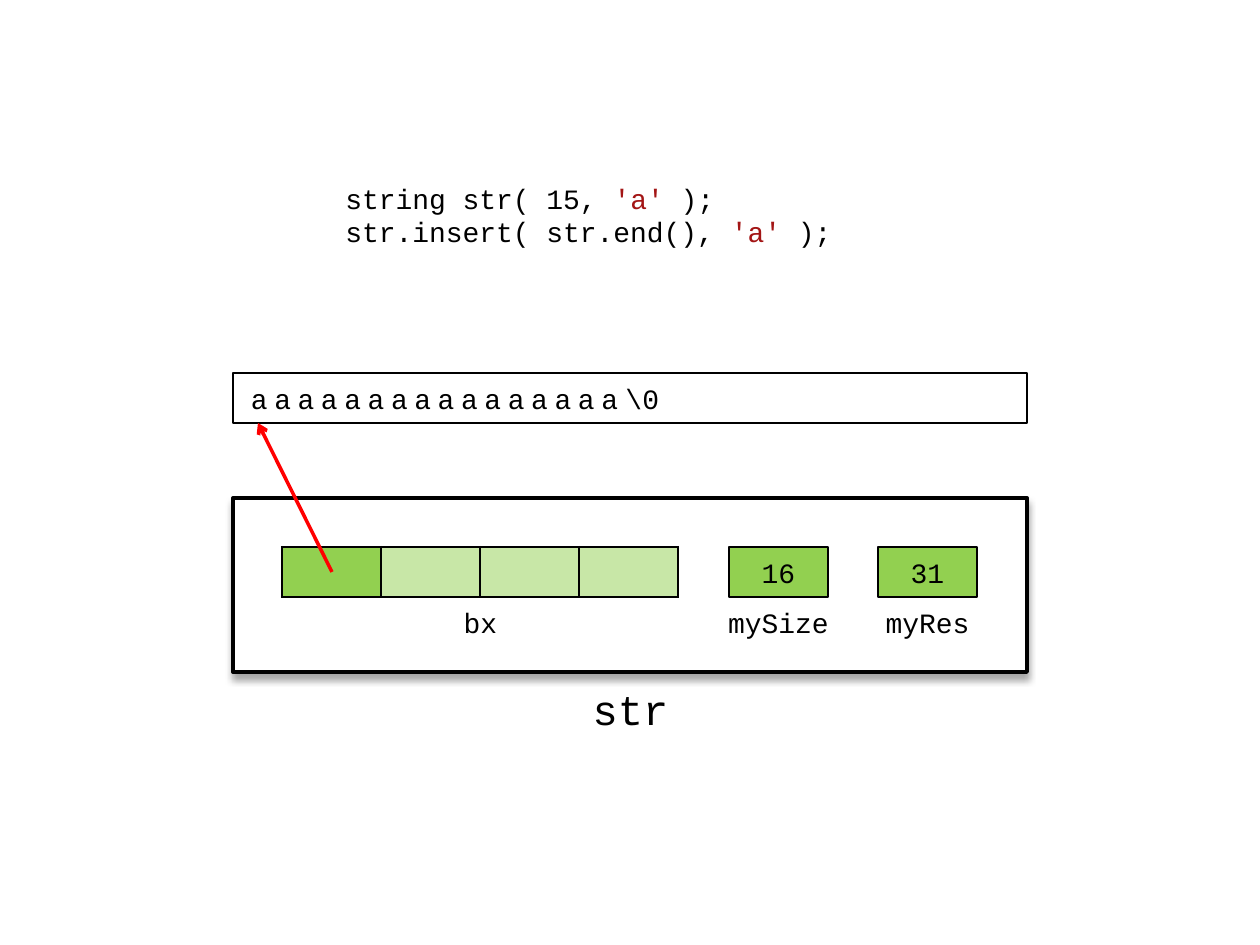
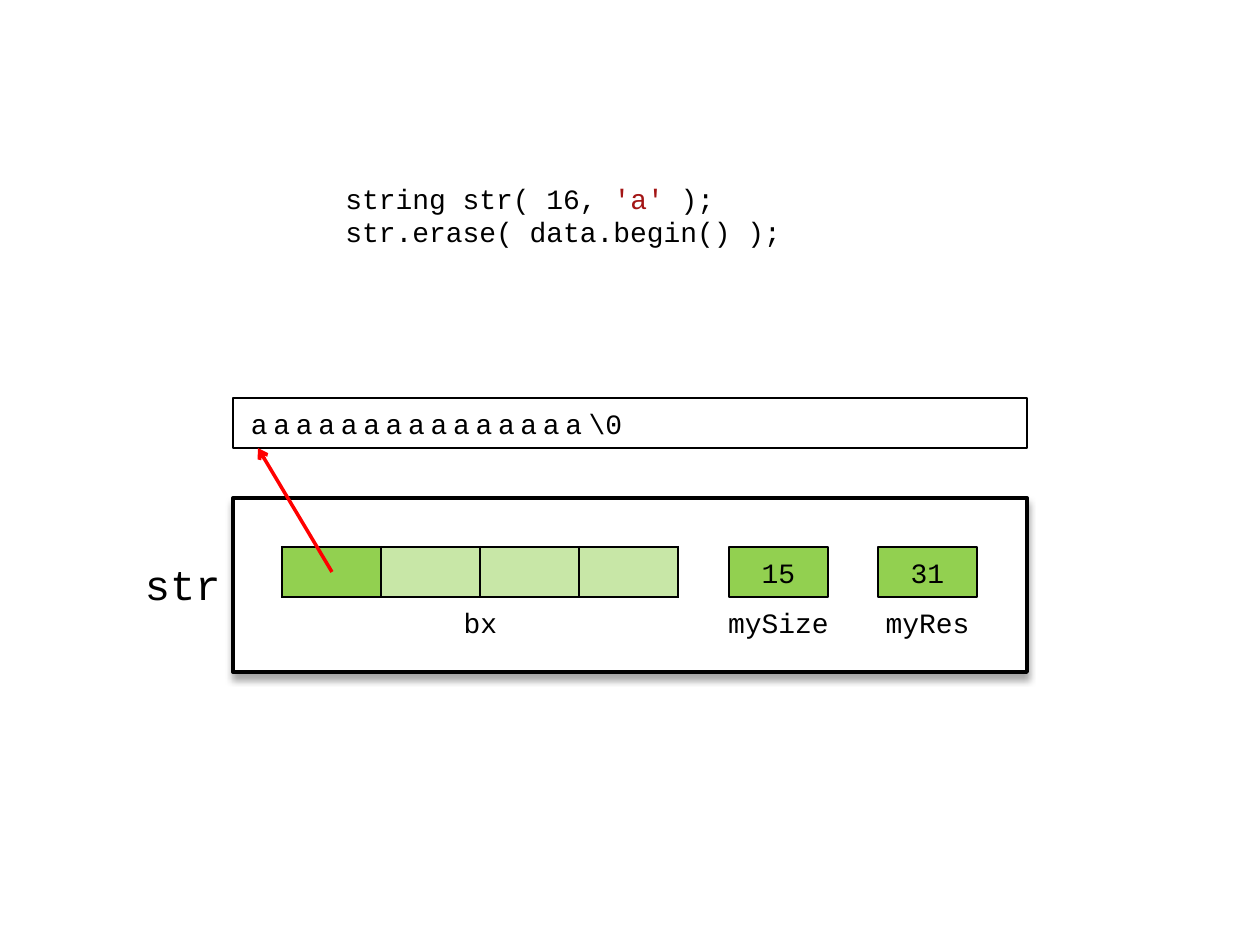
from lxml import etree
from pptx import Presentation
from pptx.dml.color import RGBColor
from pptx.enum.shapes import MSO_CONNECTOR, MSO_SHAPE
from pptx.enum.text import MSO_ANCHOR, PP_ALIGN
from pptx.oxml import parse_xml
from pptx.oxml.ns import nsdecls, qn
from pptx.util import Pt

PX = 914400 / 126
BLACK = RGBColor(0x00, 0x00, 0x00)
WHITE = RGBColor(0xFF, 0xFF, 0xFF)
GREEN = RGBColor(0x92, 0xD0, 0x50)
RED = RGBColor(0xFF, 0x00, 0x00)
LITERAL = RGBColor(0xA3, 0x15, 0x15)
FONT = "Courier New"
LEFT, CENTER, RIGHT = PP_ALIGN.LEFT, PP_ALIGN.CENTER, PP_ALIGN.RIGHT
TOP, MIDDLE = MSO_ANCHOR.TOP, MSO_ANCHOR.MIDDLE
RECTANGLE, PROCESS = MSO_SHAPE.RECTANGLE, MSO_SHAPE.FLOWCHART_PROCESS
STRAIGHT = MSO_CONNECTOR.STRAIGHT

# Shared grid of the memory diagram, in px
FRAME_LEFT, FRAME_TOP, FRAME_WIDTH, FRAME_HEIGHT = 233, 498, 794, 174
FIELD_TOP, CELL_WIDTH, CELL_HEIGHT = 547, 99, 50
TABLE_LEFT, CELL_COUNT = 282, 4
LABEL_TOP = FIELD_TOP + CELL_HEIGHT

# What differs between the slides
STATES = [
    {
        "code": [[("string str( 15, ", BLACK), ("'a' ", LITERAL), (");", BLACK)],
                 [("str.insert( str.end(), ", BLACK), ("'a' ", LITERAL), (");", BLACK)]],
        "length": 16, "letter_spacing": 380, "buffer_top": 373,
        "name_place": (556, 672, 149, 74), "name_align": CENTER,
    },
    {
        "code": [[("string str( 16, ", BLACK), ("'a' ", LITERAL), (");", BLACK)],
                 [("str.erase( data.begin() );", BLACK)]],
        "length": 15, "letter_spacing": 330, "buffer_top": 398,
        "name_place": (110, 547, 123, 74), "name_align": RIGHT,
    },
]


def add_box(page, kind, place, fill=None, line_width=None):
    """Add a shape, or a text box when kind is None, at a place in px."""
    lengths = [round(length * PX) for length in place]
    if kind is None:
        return page.shapes.add_textbox(*lengths)
    box = page.shapes.add_shape(kind, *lengths)
    box.shadow.inherit = False
    if fill is None:
        box.fill.background()
        box.line.fill.background()
    else:
        box.fill.solid()
        box.fill.fore_color.rgb = fill
        box.line.color.rgb = BLACK
        box.line.width = Pt(line_width)
    return box


def set_text(box, lines, size=16, align=CENTER, anchor=MIDDLE):
    """Write lines, each a list of (text, colour) spans."""
    frame = box.text_frame
    frame.word_wrap = True
    frame.vertical_anchor = anchor
    for number, spans in enumerate(lines):
        para = frame.add_paragraph() if number else frame.paragraphs[0]
        para.alignment = align
        para.font.name = FONT
        para.font.size = Pt(size)
        for text, color in spans:
            span = para.add_run()
            span.text = text
            span.font.color.rgb = color


deck = Presentation()
deck.slide_width, deck.slide_height = round(1260 * PX), round(945 * PX)

for state in STATES:
    page = deck.slides.add_slide(deck.slide_layouts[6])

    # Code and object name
    code = add_box(page, None, (333, 175, 596, 100))
    set_text(code, state["code"], align=LEFT, anchor=TOP)
    name = add_box(page, None, state["name_place"])
    set_text(name, [[("str", BLACK)]], 24, state["name_align"])

    # Object frame with its soft shadow
    frame = add_box(page, PROCESS, (FRAME_LEFT, FRAME_TOP, FRAME_WIDTH, FRAME_HEIGHT),
                    WHITE, 2.25)
    frame._element.spPr.find(qn("a:effectLst")).append(parse_xml(
        f'<a:outerShdw {nsdecls("a")} blurRad="50800" dist="38100" dir="5400000" '
        'rotWithShape="0"><a:srgbClr val="000000"><a:alpha val="35000"/></a:srgbClr>'
        '</a:outerShdw>'))

    # Size and capacity fields
    for left, value in ((729, state["length"]), (878, 31)):
        field = add_box(page, RECTANGLE, (left, FIELD_TOP, CELL_WIDTH, CELL_HEIGHT),
                        GREEN, 1.5)
        set_text(field, [[(str(value), BLACK)]])

    # Field labels
    for left, width, caption in ((431, 99, "bx"), (704, 149, "mySize"), (853, 149, "myRes")):
        label = add_box(page, PROCESS, (left, LABEL_TOP, width, CELL_HEIGHT))
        set_text(label, [[(caption, BLACK)]])

    # Union cells: the first is in use, the others are half transparent
    table = page.shapes.add_table(
        1, CELL_COUNT, round(TABLE_LEFT * PX), round(FIELD_TOP * PX),
        round(CELL_COUNT * CELL_WIDTH * PX), round(CELL_HEIGHT * PX)).table
    for column in range(CELL_COUNT):
        cell = table.cell(0, column)
        cell.margin_top = cell.margin_bottom = 0
        cell.fill.solid()
        cell.fill.fore_color.rgb = GREEN
        properties = cell._tc.get_or_add_tcPr()
        if column > 0:
            color = properties.find(".//" + qn("a:srgbClr"))
            etree.SubElement(color, qn("a:alpha")).set("val", "50000")
        left_width = 1.5 if column == 0 else 1
        right_width = 1.5 if column == CELL_COUNT - 1 else 1
        borders = (("L", left_width), ("R", right_width), ("T", 1.5), ("B", 1.5))
        for position, (side, width) in enumerate(borders):
            properties.insert(position, parse_xml(
                f'<a:ln{side} {nsdecls("a")} w="{Pt(width)}"><a:solidFill>'
                f'<a:srgbClr val="{BLACK}"/></a:solidFill></a:ln{side}>'))

    # Character buffer
    buffer = add_box(page, RECTANGLE,
                     (FRAME_LEFT, state["buffer_top"], FRAME_WIDTH, CELL_HEIGHT), WHITE, 1.5)
    buffer.text_frame.margin_left = round(18 * PX)
    set_text(buffer, [[("a" * state["length"], BLACK), ("\\", BLACK), ("0", BLACK)]],
             align=LEFT)
    spacings = (state["letter_spacing"], -150, 0)
    for span, spacing in zip(buffer.text_frame.paragraphs[0].runs, spacings):
        span._r.get_or_add_rPr().set("spc", str(spacing))

    # Pointer from the first cell to the buffer
    ends = (332, 572, 258, state["buffer_top"] + CELL_HEIGHT)
    pointer = page.shapes.add_connector(STRAIGHT, *[round(end * PX) for end in ends])
    pointer.line.color.rgb = RED
    pointer.line.width = Pt(2)
    etree.SubElement(pointer.line._get_or_add_ln(), qn("a:tailEnd")).set("type", "arrow")
    etree.SubElement(pointer._element.spPr, qn("a:effectLst"))

deck.save("out.pptx")
